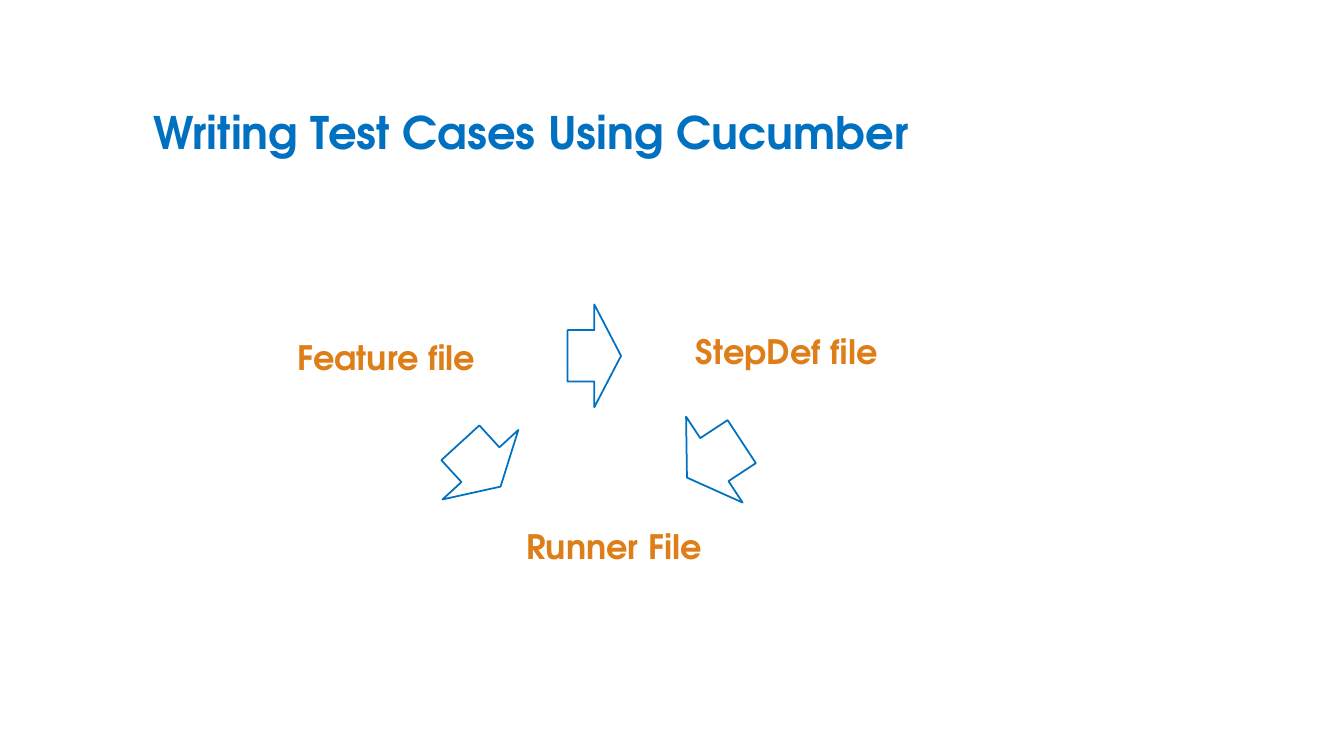
"""Build a slide on the three files behind a Cucumber test case."""
from pptx import Presentation
from pptx.dml.color import RGBColor
from pptx.enum.shapes import MSO_SHAPE as Shape
from pptx.enum.text import MSO_ANCHOR as Anchor
from pptx.util import Inches, Pt

FONT = "TeX Gyre Adventor"
BLUE = "0070C0"
ORANGE = "DE7E18"
WHITE = "FFFFFF"


def color(hex_string):
    return RGBColor.from_string(hex_string)


deck = Presentation()
deck.slide_width = Inches(13.33)
deck.slide_height = Inches(7.5)
page = deck.slides.add_slide(deck.slide_layouts[6])

texts = [
    ("Writing Test Cases Using Cucumber", 1.42, 0.97, 8.07, 0.67, 32, BLUE),
    ("Feature file", 2.85, 3.29, 2.15, 0.5, 24, ORANGE),
    ("Runner File", 5.12, 5.17, 2.15, 0.5, 24, ORANGE),
    ("StepDef file", 6.8, 3.23, 2.33, 0.5, 24, ORANGE),
]
for text, left, top, width, height, size, text_color in texts:
    box = page.shapes.add_textbox(Inches(left), Inches(top), Inches(width), Inches(height))
    frame = box.text_frame
    frame.word_wrap = True
    frame.vertical_anchor = Anchor.MIDDLE
    para = frame.paragraphs[0]
    para.text = text
    para.font.name = FONT
    para.font.size = Pt(size)
    para.font.bold = True
    para.font.color.rgb = color(text_color)

arrows = [
    (5.63, 3.02, 0.53, 0),
    (4.47, 4.1, 0.59, 47.5),
    (6.76, 4.05, 0.65, 146.7),
]
for left, top, width, angle in arrows:
    arrow = page.shapes.add_shape(
        Shape.RIGHT_ARROW, Inches(left), Inches(top), Inches(width), Inches(1.02))
    arrow.rotation = angle
    arrow.shadow.inherit = False
    arrow.fill.solid()
    arrow.fill.fore_color.rgb = color(WHITE)
    arrow.line.color.rgb = color(BLUE)
    arrow.line.width = Pt(1.25)

deck.save("out.pptx")
